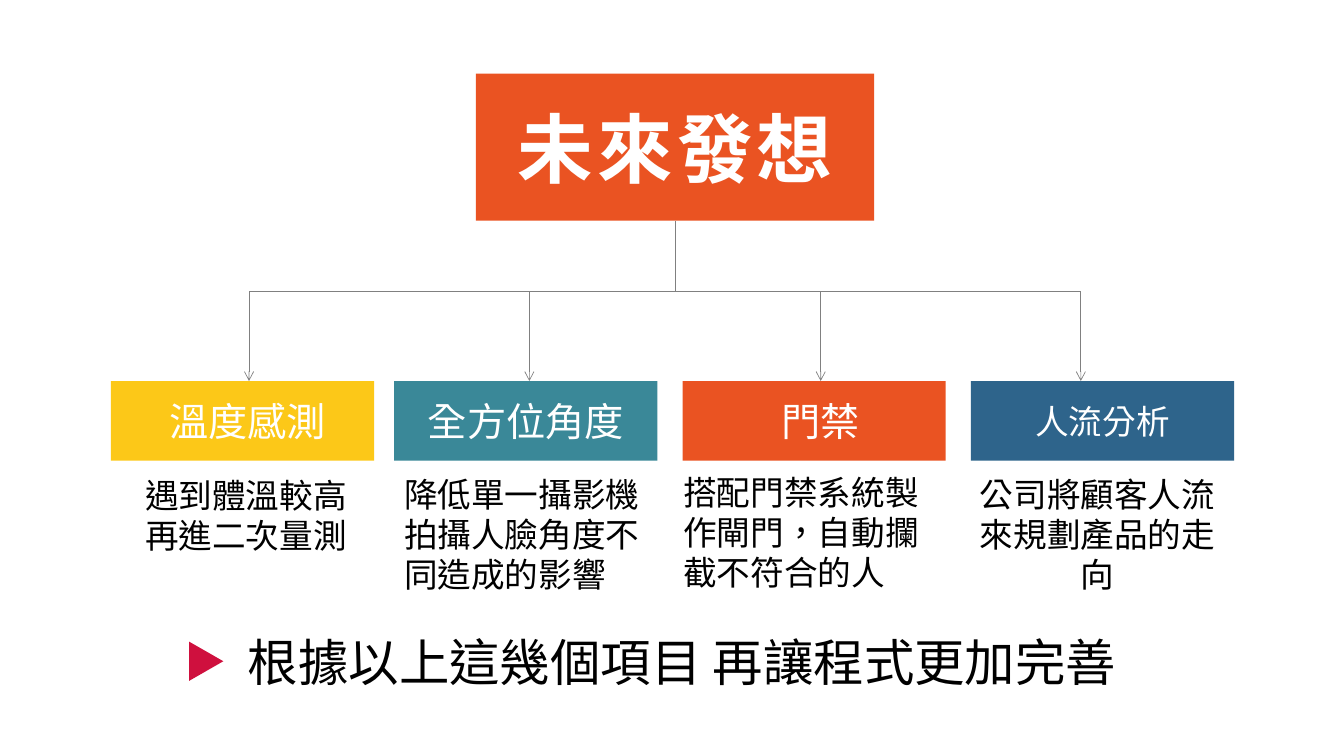
from dataclasses import dataclass

from pptx import Presentation
from pptx import util as u
from pptx.dml.color import RGBColor
from pptx.enum import shapes, text
from pptx.oxml import ns
from lxml import etree

FONT = "Noto Sans CJK SC"
COLORS = {
    "orange": "EA5322", "yellow": "FCC818", "teal": "3A8898", "blue": "2E648B",
    "crimson": "CF103E", "gray": "808080", "black": "000000", "white": "FFFFFF",
}
RAIL_Y, CARD_TOP = 2.89, 3.78
CARD_WIDTH, CARD_HEIGHT = 2.61, 0.79


@dataclass(frozen=True)
class Box:
    left: float
    top: float
    width: float
    height: float

    def lengths(self) -> tuple:
        return tuple(u.Inches(v) for v in (self.left, self.top, self.width, self.height))


@dataclass(frozen=True)
class Idea:
    heading: str
    color: str
    left: float
    arrow_x: float
    detail: tuple[str, ...]
    detail_box: Box
    heading_size: int = 28
    heading_shift: float = 0
    align: text.PP_ALIGN = text.PP_ALIGN.LEFT


IDEAS = [
    Idea("溫度感測", "yellow", 1.1, 2.47, ("遇到體溫較高", "再進二次量測"),
         Box(1.34, 4.66, 2.76, 0.91), heading_shift=0.05),
    Idea("全方位角度", "teal", 3.91, 5.25, ("降低單一攝影機拍攝人臉角度不同造成的影響",),
         Box(3.91, 4.65, 2.61, 1.31)),
    Idea("門禁", "orange", 6.77, 8.14, ("搭配門禁系統製作閘門，自動攔截不符合的人",),
         Box(6.68, 4.63, 2.76, 1.31), heading_shift=0.06),
    Idea("人流分析", "blue", 9.63, 10.72, ("公司將顧客人流來規劃產品的走向",),
         Box(9.58, 4.65, 2.61, 1.31), heading_size=24, align=text.PP_ALIGN.CENTER),
]


def rgb(name: str) -> RGBColor:
    return RGBColor.from_string(COLORS[name])


def add_words(paragraph, words: str, size: int, color: str,
              bold: bool = False, spacing: int = 0) -> None:
    """Add one run; spacing is the letter spacing in points."""
    run = paragraph.add_run()
    run.text = words
    run.font.size = u.Pt(size)
    run.font.bold = bold
    run.font.color.rgb = rgb(color)
    run.font.name = FONT
    properties = run.font._element
    properties.set("lang", "zh-TW")
    if spacing:
        properties.set("spc", str(spacing * 100))
    etree.SubElement(properties, ns.qn("a:ea")).set("typeface", FONT)


def add_block(slide, kind: shapes.MSO_SHAPE, box: Box, color: str):
    block = slide.shapes.add_shape(kind, *box.lengths())
    block.shadow.inherit = False
    block.fill.solid()
    block.fill.fore_color.rgb = rgb(color)
    block.line.fill.background()
    return block


def add_banner(slide, box: Box, color: str, words: str, size: int,
               shift: float = 0, bold: bool = False, spacing: int = 0):
    """Rectangle with a centred white label, moved right by shift inches."""
    banner = add_block(slide, shapes.MSO_SHAPE.RECTANGLE, box, color)
    frame = banner.text_frame
    frame.vertical_anchor = text.MSO_ANCHOR.MIDDLE
    frame.margin_left = u.Inches(0.1 + 2 * shift)
    label = frame.paragraphs[0]
    label.alignment = text.PP_ALIGN.CENTER
    add_words(label, words, size, "white", bold, spacing)
    return banner


def add_text(slide, box: Box, lines: tuple[str, ...], size: int,
             align: text.PP_ALIGN = text.PP_ALIGN.LEFT,
             pitch: float | None = None) -> None:
    """Text box; pitch is the line spacing in points."""
    frame = slide.shapes.add_textbox(*box.lengths()).text_frame
    frame.word_wrap = True
    frame.vertical_anchor = text.MSO_ANCHOR.TOP if pitch else text.MSO_ANCHOR.MIDDLE
    for index, line in enumerate(lines):
        paragraph = frame.add_paragraph() if index else frame.paragraphs[0]
        paragraph.alignment = align
        if pitch:
            paragraph.line_spacing = u.Pt(pitch)
        add_words(paragraph, line, size, "black")


def add_line(slide, x1: float, y1: float, x2: float, y2: float, arrow: bool = False):
    line = slide.shapes.add_connector(
        shapes.MSO_CONNECTOR.STRAIGHT, *(u.Inches(v) for v in (x1, y1, x2, y2)))
    line.line.color.rgb = rgb("gray")
    line.line.width = u.Pt(0.5)
    properties = line.element.spPr
    if arrow:
        outline = properties.find(ns.qn("a:ln"))
        etree.SubElement(outline, ns.qn("a:tailEnd")).set("type", "arrow")
    etree.SubElement(properties, ns.qn("a:effectLst"))
    return line


def add_idea(slide, idea: Idea) -> None:
    add_line(slide, idea.arrow_x, RAIL_Y, idea.arrow_x, CARD_TOP, arrow=True)
    add_banner(slide, Box(idea.left, CARD_TOP, CARD_WIDTH, CARD_HEIGHT), idea.color,
               idea.heading, idea.heading_size, idea.heading_shift)
    add_text(slide, idea.detail_box, idea.detail, 24, idea.align, pitch=28.8)


def main() -> None:
    deck = Presentation()
    deck.slide_width, deck.slide_height = u.Inches(13.33), u.Inches(7.5)
    slide = deck.slides.add_slide(deck.slide_layouts[6])

    title = add_banner(slide, Box(4.72, 0.73, 3.95, 1.46), "orange", "未來發想", 54,
                       bold=True, spacing=3)
    trunk = add_line(slide, 6.69, 2.19, 6.69, RAIL_Y)
    trunk.begin_connect(title, 2)
    trunk.end_x = trunk.begin_x
    add_line(slide, IDEAS[0].arrow_x, RAIL_Y, IDEAS[-1].arrow_x, RAIL_Y)
    for idea in IDEAS:
        add_idea(slide, idea)

    marker = add_block(slide, shapes.MSO_SHAPE.ISOSCELES_TRIANGLE,
                       Box(1.85, 6.39, 0.39, 0.34), "crimson")
    marker.rotation = 90
    add_text(slide, Box(2.36, 6.21, 8.93, 0.71),
             ("根據以上這幾個項目 再讓程式更加完善",), 36)
    deck.save("out.pptx")


if __name__ == "__main__":
    main()
